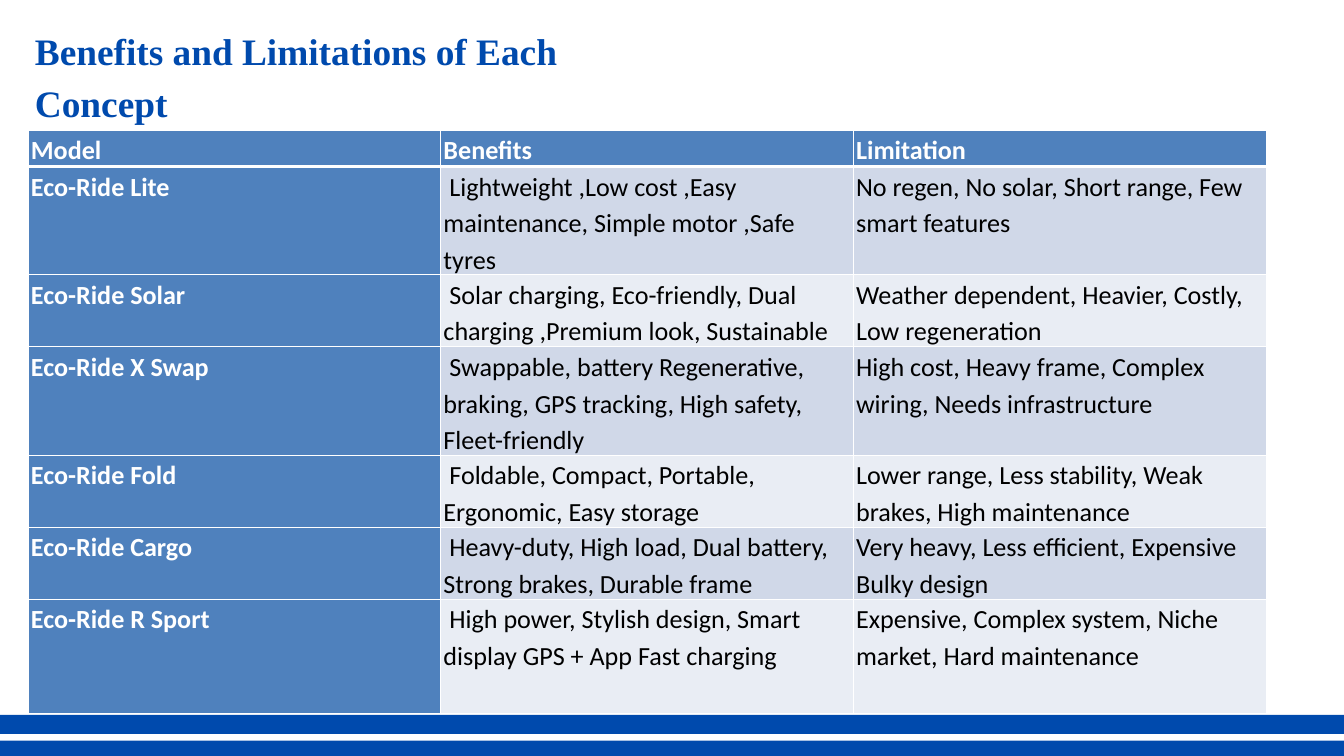
"""Build the slide comparing benefits and limitations of the Eco-Ride concepts."""
import pptx
import pptx.dml.color
import pptx.enum.shapes
import pptx.enum.text
import pptx.oxml
import pptx.oxml.ns
import pptx.util


def colour(code):
    return pptx.dml.color.RGBColor.from_string(code)


def write(para, words, code, looks):
    layout = {
        "alignment": pptx.enum.text.PP_ALIGN.LEFT,
        "line_spacing": 1.15,
        "space_before": pptx.util.Pt(0),
        "space_after": pptx.util.Pt(10),
    }
    for name, value in layout.items():
        setattr(para, name, value)
    span = para.add_run()
    span.text = words
    for name, value in looks.items():
        setattr(span.font, name, value)
    span.font.color.rgb = colour(code)


BLUE, HEADER, WHITE, BLACK = "004AAD", "4F81BD", "FFFFFF", "000000"
BANDS = ["E9EDF4", "D0D8E8"]
MODELS = [
    ("Model", "Benefits", "Limitation"),
    ("Eco-Ride Lite",
     " Lightweight ,Low cost ,Easy maintenance, Simple motor ,Safe tyres",
     "No regen, No solar, Short range, Few smart features"),
    ("Eco-Ride Solar",
     " Solar charging, Eco-friendly, Dual charging ,Premium look, Sustainable",
     "Weather dependent, Heavier, Costly, Low regeneration"),
    ("Eco-Ride X Swap",
     " Swappable, battery Regenerative, braking, GPS tracking, High safety, Fleet-friendly",
     "High cost, Heavy frame, Complex wiring, Needs infrastructure"),
    ("Eco-Ride Fold",
     " Foldable, Compact, Portable, Ergonomic, Easy storage",
     "Lower range, Less stability, Weak brakes, High maintenance"),
    ("Eco-Ride Cargo",
     " Heavy-duty, High load, Dual battery, Strong brakes, Durable frame",
     "Very heavy, Less efficient, Expensive Bulky design"),
    ("Eco-Ride R Sport",
     " High power, Stylish design, Smart display GPS + App Fast charging",
     "Expensive, Complex system, Niche market, Hard maintenance"),
]

deck = pptx.Presentation()
deck.slide_width = pptx.util.Inches(20)
deck.slide_height = pptx.util.Inches(11.25)
column = deck.slide_width // 100
row = deck.slide_height // 100
page = deck.slides.add_slide(deck.slide_layouts[5])
page.background.fill.solid()
page.background.fill.fore_color.rgb = colour(WHITE)

title = page.shapes.title
place = {"left": 2.1 * column, "top": 2.4 * row, "width": 50 * column, "height": 14.22 * row}
for name, value in place.items():
    setattr(title, name, int(value))
frame = {
    "word_wrap": True,
    "auto_size": pptx.enum.text.MSO_AUTO_SIZE.SHAPE_TO_FIT_TEXT,
    "vertical_anchor": pptx.enum.text.MSO_ANCHOR.TOP,
}
for name, value in frame.items():
    setattr(title.text_frame, name, value)
write(title.text_frame.paragraphs[0], "Benefits and Limitations of Each Concept", BLUE,
      {"name": "Times New Roman", "size": pptx.util.Pt(40), "bold": True})

heights = [4.27, 13.16, 8.71, 13.16, 8.71, 8.71, 15.11]
table = page.shapes.add_table(
    len(MODELS), 3, int(2.1 * column), int(17.24 * row),
    int(3 * 30.7 * column), int(sum(heights) * row)).table
for table_column in table.columns:
    table_column.width = int(30.7 * column)
for table_row, height in zip(table.rows, heights):
    table_row.height = int(height * row)

margins = {"margin_left": 0.04, "margin_right": 0.04, "margin_top": 0, "margin_bottom": 0}
for i, words in enumerate(MODELS):
    for j, entry in enumerate(words):
        cell = table.cell(i, j)
        for name, value in margins.items():
            setattr(cell, name, pptx.util.Inches(value))
        strong = i == 0 or j == 0
        write(cell.text_frame.paragraphs[0], entry, WHITE if strong else BLACK,
              {"name": "Calibri", "size": pptx.util.Pt(28), "bold": strong})
        for side in "LRTB":
            thick = (i, side) in [(0, "B"), (1, "T")]
            cell._tc.get_or_add_tcPr().append(pptx.oxml.parse_xml(
                f'<a:ln{side} {pptx.oxml.ns.nsdecls("a")} w="{pptx.util.Pt(3 if thick else 1)}">'
                f'<a:solidFill><a:srgbClr val="{WHITE}"/></a:solidFill></a:ln{side}>'))
        cell.fill.solid()
        cell.fill.fore_color.rgb = colour(HEADER if strong else BANDS[i % 2])

for top in (97.96, 94.58):
    stripe = page.shapes.add_shape(
        pptx.enum.shapes.MSO_SHAPE.RECTANGLE, int(-0.62 * column), int(top * row),
        int(101.25 * column), int(2.5 * row))
    stripe.shadow.inherit = False
    stripe.fill.solid()
    stripe.fill.fore_color.rgb = colour(BLUE)
    stripe.line.fill.background()

deck.save("out.pptx")
